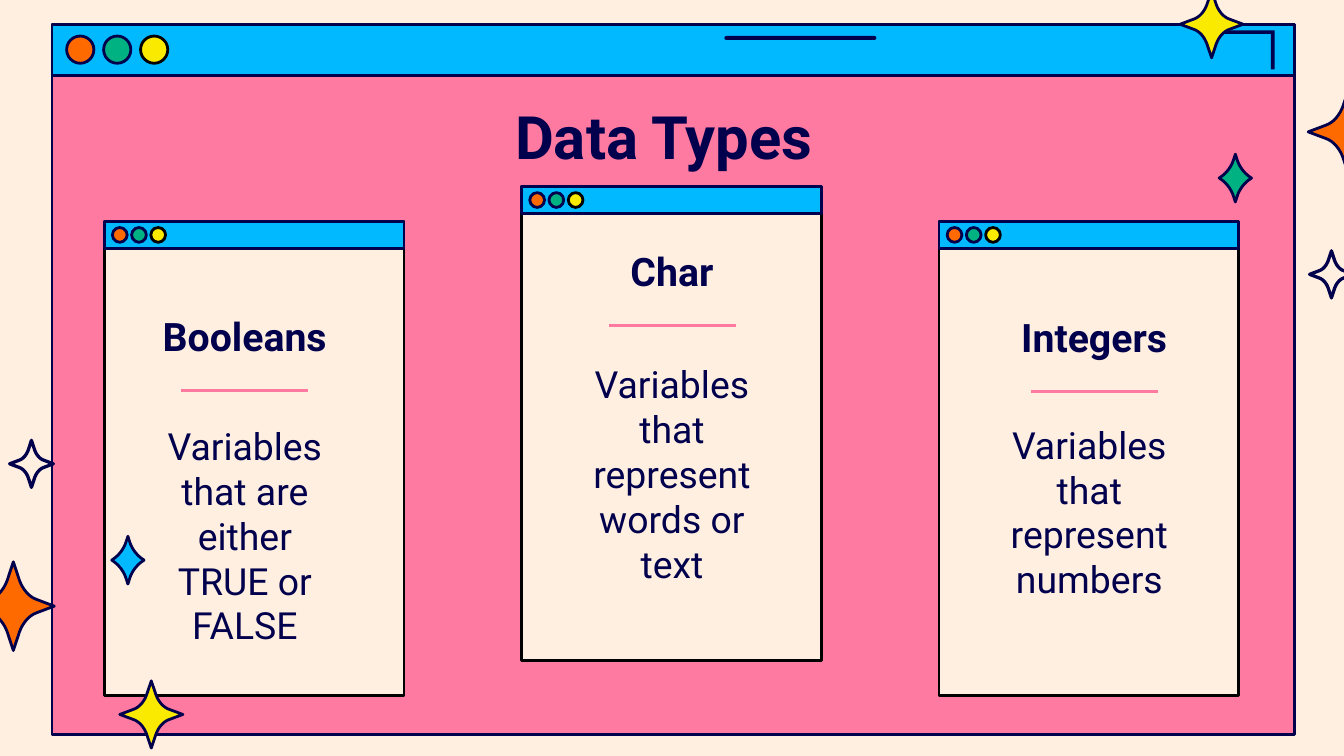
from dataclasses import dataclass

from lxml import etree
from pptx import Presentation
from pptx.dml.color import RGBColor
from pptx.enum.shapes import MSO_CONNECTOR, MSO_SHAPE
from pptx.enum.text import MSO_ANCHOR, MSO_AUTO_SIZE, PP_ALIGN
from pptx.oxml.ns import qn
from pptx.util import Pt

RECT, OVAL, ROUNDED = MSO_SHAPE.RECTANGLE, MSO_SHAPE.OVAL, MSO_SHAPE.ROUNDED_RECTANGLE
STRAIGHT = MSO_CONNECTOR.STRAIGHT
TOP, CENTER, NO_FIT = MSO_ANCHOR.TOP, PP_ALIGN.CENTER, MSO_AUTO_SIZE.NONE


@dataclass(frozen=True)
class Theme:
    """Colours, font and type sizes of the slide."""
    cream: RGBColor = RGBColor(0xFF, 0xEF, 0xE1)
    pink: RGBColor = RGBColor(0xFF, 0x7A, 0xA1)
    blue: RGBColor = RGBColor(0x00, 0xB9, 0xFF)
    navy: RGBColor = RGBColor(0x00, 0x00, 0x4D)
    black: RGBColor = RGBColor(0, 0, 0)
    orange: RGBColor = RGBColor(0xFF, 0x6A, 0x00)
    green: RGBColor = RGBColor(0x00, 0xB1, 0x81)
    yellow: RGBColor = RGBColor(0xFA, 0xEA, 0x00)
    font: str = "Roboto"
    title: float = 32
    heading: float = 21
    body: float = 20
    stroke: float = 1.5
    ring: float = 1.75


T = Theme()

FRAME = (27.8, 13, 665.6, 380.4)
FRAME_BAR, FRAME_DOTS = 27.4, (7.9, 6.3, 14.6, 19.8)
CARD_W, CARD_H, CARD_PITCH = 160.6, 253.9, 223.6
CARD_BAR, CARD_DOTS = 14.4, (4.3, 3.1, 7.9, 10.3)

CARDS = [
    ("Booleans", "Variables that are either TRUE or FALSE", 118.8, (22.3, 41.3), (24.2, 100.8)),
    ("Char", "Variables that represent words or text", 100.1, (27.6, 25.2), (29.4, 86.4)),
    ("Integers", "Variables that represent numbers", 118.8, (30.2, 41.8), (29.4, 100.1)),
]

WIDE = ((0.15, 0.58), (0.23, 0.38), (0.38, 0.21), (0.57, 0.15))
SLIM = ((0.12, 0.75), (0.25, 0.47), (0.55, 0.22), (0.85, 0.07))
STARS = [
    ((59.9, 287.3, 17.3, 25.6), T.blue, SLIM),
    ((5.2, 235.9, 23.4, 25.2), None, WIDE),
    ((64.2, 364.8, 33.8, 36), T.yellow, WIDE),
    ((-14.8, 301, 43.9, 47.5), T.orange, WIDE),
    ((653.2, 82.6, 17.3, 25.6), T.green, SLIM),
    ((701.6, 134.4, 23.4, 25.2), None, WIDE),
    ((632.2, -5, 33.8, 36), T.yellow, WIDE),
    ((700.8, 46.9, 43.9, 47.5), T.orange, WIDE),
]


def pts(*values):
    """Convert numbers to point lengths."""
    return [Pt(v) for v in values]


def paint(sp, fill, line=None, width=T.stroke):
    """Give a shape its fill and outline, without a shadow."""
    sp.shadow.inherit = False
    if fill is None:
        sp.fill.background()
    else:
        sp.fill.solid()
        sp.fill.fore_color.rgb = fill
    if line is None:
        sp.line.fill.background()
    else:
        sp.line.color.rgb = line
        sp.line.width = Pt(width)


def add_block(slide, kind, box, fill, line=None):
    """Add a painted preset shape in the given box."""
    sp = slide.shapes.add_shape(kind, *pts(*box))
    paint(sp, fill, line)
    return sp


def add_outline(slide, points):
    """Add a closed freeform through the given points."""
    start, *rest = [tuple(pts(*point)) for point in points]
    builder = slide.shapes.build_freeform(*start)
    builder.add_line_segments(rest, close=True)
    return builder.convert_to_shape()


def write(sp, text, size, bold=False, after=0):
    """Set centred text with even insets in a text shape."""
    tf = sp.text_frame
    inset = Pt(7.2)
    frame = dict(word_wrap=True, auto_size=NO_FIT, vertical_anchor=TOP, margin_left=inset,
                 margin_right=inset, margin_top=inset, margin_bottom=inset)
    p = tf.paragraphs[0]
    r = p.add_run()
    r.text = text
    paragraph = dict(alignment=CENTER, space_before=Pt(0), space_after=Pt(after))
    font = dict(name=T.font, size=Pt(size), bold=bold)
    for target, values in ((tf, frame), (p, paragraph), (r.font, font)):
        for key, value in values.items():
            setattr(target, key, value)
    r.font.color.rgb = T.navy


def add_window(slide, box, bar, dots, fill, edge):
    """Draw a browser window with a bar and three buttons in the box."""
    x, y, w, h = box
    dx, dy, size, pitch = dots
    add_block(slide, RECT, box, fill, edge)
    add_block(slide, RECT, (x, y, w, bar), T.blue, T.navy)
    buttons = ((T.orange, T.navy), (T.green, T.navy), (T.yellow, T.black))
    for i, (color, line) in enumerate(buttons):
        add_block(slide, OVAL, (x + dx + i * pitch, y + dy, size, size), color, line)


def add_frame(slide, box):
    """Draw the large window and the marks on its bar."""
    add_window(slide, box, FRAME_BAR, FRAME_DOTS, T.pink, T.navy)
    x, y, w, _ = box
    bar = add_block(slide, ROUNDED, (x + 360.3, y + 6.3, 81.4, 2.1), T.navy)
    bar.adjustments[0] = 0.5
    right, top, thick = x + w - 10.6, y + 3.3, 1.9
    left, bottom = right - 29, top + 20.9
    corner = add_outline(slide, [
        (left, top), (right, top), (right, bottom), (right - thick, bottom),
        (right - thick, top + thick), (left, top + thick)])
    paint(corner, T.navy)


def add_title(slide, box):
    """Place and format the slide title in front of the windows."""
    sp = slide.shapes.title
    sp.left, sp.top, sp.width, sp.height = pts(*box)
    write(sp, "Data Types ", T.title, bold=True)
    sp._element.getparent().append(sp._element)


def add_card(slide, box, heading, body, head_at, body_at):
    """Draw a small window with a heading, a divider and body text."""
    add_window(slide, box, CARD_BAR, CARD_DOTS, T.cream, T.black)
    x, y = box[:2]
    hx, hy = x + head_at[0], y + head_at[1]
    sp = slide.shapes.add_textbox(*pts(hx, hy, 105.8, 33.8))
    write(sp, heading, T.heading, bold=True)
    rx, ry = hx + 19, hy + 49
    rule = slide.shapes.add_connector(STRAIGHT, *pts(rx, ry, rx + 68, ry))
    rule.line.color.rgb = T.pink
    rule.line.width = Pt(T.stroke)
    etree.SubElement(rule._element.spPr, qn("a:effectLst"))
    sp = slide.shapes.add_textbox(*pts(x + body_at[0], y + body_at[1], 102.2, 48.2))
    write(sp, body, T.body, after=16)


def add_star(slide, box, fill, profile):
    """Draw a four-pointed star with curved sides in the box."""
    x, y, w, h = box
    steps = [i / 8 for i in range(9)]
    curve = [tuple(sum(c * p[axis] for c, p in zip(
        ((1 - t) ** 3, 3 * t * (1 - t) ** 2, 3 * t * t * (1 - t), t ** 3), profile))
        for axis in (0, 1)) for t in steps]
    arm = [(0, 1), *curve, (1, 0)]
    points = []
    for sx, sy, side in ((1, 1, arm), (1, -1, arm[::-1]), (-1, -1, arm), (-1, 1, arm[::-1])):
        points += [(x + w / 2 * (1 + sx * u), y + h / 2 * (1 + sy * v)) for u, v in side[:-1]]
    sp = add_outline(slide, points)
    paint(sp, fill, T.navy, T.stroke if fill else T.ring)


def main():
    """Build the slide and save it."""
    prs = Presentation()
    prs.slide_width, prs.slide_height = pts(720, 405)
    slide = prs.slides.add_slide(prs.slide_layouts[5])
    slide.background.fill.solid()
    slide.background.fill.fore_color.rgb = T.cream
    add_frame(slide, FRAME)
    add_title(slide, (55.9, 46.1, 607.7, 45.4))
    for i, (heading, body, top, head_at, body_at) in enumerate(CARDS):
        box = (55.9 + i * CARD_PITCH, top, CARD_W, CARD_H)
        add_card(slide, box, heading, body, head_at, body_at)
    for box, fill, profile in STARS:
        add_star(slide, box, fill, profile)
    prs.save("out.pptx")


if __name__ == "__main__":
    main()
